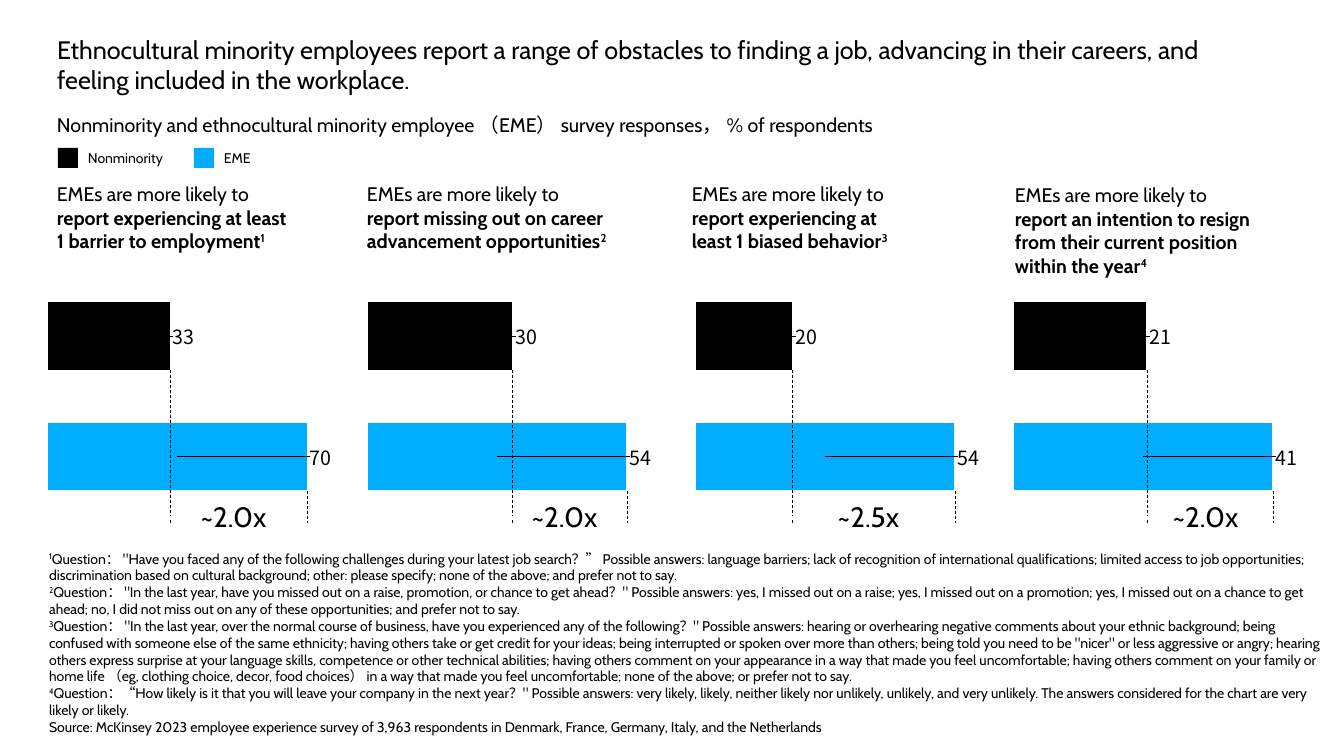
import dataclasses

import lxml.etree
import pptx
import pptx.chart.data
import pptx.dml.color
import pptx.enum.chart
import pptx.enum.dml
import pptx.enum.shapes
import pptx.enum.text
import pptx.oxml
import pptx.oxml.ns
import pptx.util

SLIDE_WIDTH, SLIDE_HEIGHT = 1344, 756
SCALE = 12192000 / SLIDE_WIDTH
CHART_TOP, CHART_WIDTH, CHART_HEIGHT = 242, 299, 309
PLOT_INSET, PLOT_WIDTH = 9, 259
PLOT_LAYOUT = {"layoutTarget": "inner", "xMode": "edge", "yMode": "edge",
               "x": 0.03, "y": 0.109, "w": 0.865, "h": 0.782}
LEADER_LINES = (
    '<c:extLst xmlns:c="http://schemas.openxmlformats.org/drawingml/2006/chart">'
    '<c:ext uri="{CE6537A1-D6FC-4f65-9D91-7224C49458BB}" '
    'xmlns:c15="http://schemas.microsoft.com/office/drawing/2012/chart">'
    '<c15:showLeaderLines val="1"/></c:ext></c:extLst>')


@dataclasses.dataclass(frozen=True)
class Theme:
    black: str = "000000"
    white: str = "FFFFFF"
    minority: str = "00ADFF"
    minority_key: str = "00ACFB"
    face: str = "Cabin"
    digits: str = "Noto Sans CJK SC"
    title: int = 18
    heading: int = 14
    note: int = 10
    ratio: int = 20


THEME = Theme()

TITLE = ("Ethnocultural minority employees report a range of obstacles to finding a job, "
         "advancing in their careers, and feeling included in the workplace.")
SUBTITLE = "Nonminority and ethnocultural minority employee （EME） survey responses， % of respondents"
LEGEND = [("Nonminority", THEME.black, 58, 99), ("EME", THEME.minority_key, 194, 48)]
PANELS = [
    (39, (33, 70), "~2.0x", (47, 177, 282, 82),
     ["report experiencing at least", "1 barrier to employment"]),
    (359, (30, 54), "~2.0x", (357, 177, 293, 82),
     ["report missing out on career", "advancement opportunities"]),
    (687, (20, 54), "~2.5x", (682, 177, 250, 82),
     ["report experiencing at", "least 1 biased behavior"]),
    (1005, (21, 41), "~2.0x", (1005, 178, 290, 105),
     ["report an intention to resign", "from their current position", "within the year"]),
]
QUESTIONS = [
    "Question： \"Have you faced any of the following challenges during your latest job search？” "
    "Possible answers: language barriers; lack of recognition of international qualifications; "
    "limited access to job opportunities; discrimination based on cultural background; "
    "other: please specify; none of the above; and prefer not to say.",
    "Question： \"In the last year, have you missed out on a raise, promotion, or chance to get "
    "ahead？\" Possible answers: yes, I missed out on a raise; yes, I missed out on a promotion; "
    "yes, I missed out on a chance to get ahead; no, I did not miss out on any of these "
    "opportunities; and prefer not to say.",
    "Question： \"In the last year, over the normal course of business, have you experienced any "
    "of the following？\" Possible answers: hearing or overhearing negative comments about your "
    "ethnic background; being confused with someone else of the same ethnicity; having others "
    "take or get credit for your ideas; being interrupted or spoken over more than others; being "
    "told you need to be \"nicer\" or less aggressive or angry; hearing others express surprise at "
    "your language skills, competence or other technical abilities; having others comment on your "
    "appearance in a way that made you feel uncomfortable; having others comment on your family or "
    "home life （eg, clothing choice, decor, food choices） in a way that made you feel "
    "uncomfortable; none of the above; or prefer not to say.",
    "Question：“How likely is it that you will leave your company in the next year？\" Possible "
    "answers: very likely, likely, neither likely nor unlikely, unlikely, and very unlikely. "
    "The answers considered for the chart are very likely or likely.",
]
SOURCE = ("Source: McKinsey 2023 employee experience survey of 3,963 respondents in Denmark, "
          "France, Germany, Italy, and the Netherlands")


def px(length):
    return pptx.util.Emu(round(length * SCALE))


def rgb(colour):
    return pptx.dml.color.RGBColor.from_string(colour)


def set_format(target, values):
    for attribute, value in values.items():
        setattr(target, attribute, value)


def place(part, box):
    set_format(part, dict(zip(("left", "top", "width", "height"), map(px, box))))


def set_font(font, size, face=THEME.face, bold=False):
    set_format(font, {"size": pptx.util.Pt(size), "name": face, "bold": bold})
    font.color.rgb = rgb(THEME.black)


def add_run(paragraph, text, size, face=THEME.face, bold=False, raised=False):
    run = paragraph.add_run()
    run.text = text
    set_font(run.font, size, face, bold)
    if raised:
        run._r.get_or_add_rPr().set("baseline", "30000")


def next_paragraph(frame, index):
    return frame.add_paragraph() if index else frame.paragraphs[0]


def add_label(slide, box, text, size):
    label = slide.shapes.add_textbox(*map(px, box)).text_frame
    set_format(label, {"word_wrap": False,
                       "auto_size": pptx.enum.text.MSO_AUTO_SIZE.SHAPE_TO_FIT_TEXT})
    add_run(label.paragraphs[0], text, size)
    return label


def add_solid(slide, preset, box, colour):
    solid = slide.shapes.add_shape(preset, *map(px, box))
    solid.shadow.inherit = False
    solid.fill.solid()
    solid.fill.fore_color.rgb = rgb(colour)
    solid.line.fill.background()
    return solid


def add_rule(slide, start, end, colour, weight, dash=None, arrow=False):
    rule = slide.shapes.add_connector(pptx.enum.shapes.MSO_CONNECTOR.STRAIGHT,
                                      *map(px, start + end))
    rule.line.color.rgb = rgb(colour)
    set_format(rule.line, {"width": pptx.util.Pt(weight), "dash_style": dash})
    if arrow:
        head = lxml.etree.SubElement(rule.line._get_or_add_ln(), pptx.oxml.ns.qn("a:tailEnd"))
        head.set("type", "triangle")
    lxml.etree.SubElement(rule._element.spPr, pptx.oxml.ns.qn("a:effectLst"))


def manual_layout(values):
    layout = lxml.etree.Element(pptx.oxml.ns.qn("c:layout"))
    manual = lxml.etree.SubElement(layout, pptx.oxml.ns.qn("c:manualLayout"))
    for name, value in values.items():
        lxml.etree.SubElement(manual, pptx.oxml.ns.qn(f"c:{name}")).set("val", str(value))
    return layout


def add_bars(slide, left, values):
    data = pptx.chart.data.CategoryChartData()
    data.categories = ["1", "2"]
    data.add_series("Series 1", values)
    box = (left, CHART_TOP, CHART_WIDTH, CHART_HEIGHT)
    chart = slide.shapes.add_chart(pptx.enum.chart.XL_CHART_TYPE.BAR_STACKED,
                                   *map(px, box), data).chart
    set_format(chart, {"has_legend": False, "has_title": False})
    set_font(chart.font, THEME.note, THEME.digits)
    set_format(chart.value_axis, {"minimum_scale": 0, "maximum_scale": max(values),
                                  "has_major_gridlines": False, "visible": False})
    no_tick = pptx.enum.chart.XL_TICK_MARK.NONE
    set_format(chart.category_axis, {
        "reverse_order": True, "major_tick_mark": no_tick, "minor_tick_mark": no_tick,
        "tick_label_position": pptx.enum.chart.XL_TICK_LABEL_POSITION.NONE})
    axis_line = chart.category_axis.format.line
    axis_line.color.rgb = rgb(THEME.white)
    axis_line.width = pptx.util.Pt(0.75)
    plot = chart.plots[0]
    set_format(plot, {"gap_width": 80, "overlap": 100, "vary_by_categories": False})
    plot_area = chart._chartSpace.chart.plotArea
    for layout in plot_area.findall(pptx.oxml.ns.qn("c:layout")):
        plot_area.remove(layout)
    plot_area.insert(0, manual_layout(PLOT_LAYOUT))
    responses = plot.series[0]
    responses.format.fill.solid()
    responses.format.fill.fore_color.rgb = rgb(THEME.minority)
    responses.data_labels.show_value = True
    responses.data_labels._element.append(pptx.oxml.parse_xml(LEADER_LINES))
    for index, value in enumerate(values):
        value_label = responses.points[index].data_label
        set_font(value_label.font, THEME.heading, THEME.digits)
        value_label.position = pptx.enum.chart.XL_LABEL_POSITION.CENTER
        shift = (PLOT_WIDTH * value / max(values) / 2 + 15) / CHART_WIDTH
        value_label._get_or_add_dLbl().insert(1, manual_layout({"x": round(shift, 2), "y": 0}))
    nonminority = responses.points[0].format.fill
    nonminority.solid()
    nonminority.fore_color.rgb = rgb(THEME.black)


def add_ratio(slide, left, values, ratio):
    far = left + PLOT_INSET + PLOT_WIDTH
    near = left + PLOT_INSET + round(PLOT_WIDTH * values[0] / values[1])
    for x, top in ((near, 370), (far, 491)):
        add_rule(slide, (x, top), (x, 523), THEME.black, 0.5, pptx.enum.dml.MSO_LINE.DASH)
    add_rule(slide, (near, 518), (far, 518), THEME.white, 2.25, arrow=True)
    bubble = add_solid(slide, pptx.enum.shapes.MSO_SHAPE.OVAL,
                       ((near + far) // 2 - 52, 497, 96, 43), THEME.white)
    set_format(bubble.text_frame, {
        "margin_left": 0, "margin_top": 0, "margin_right": 0, "margin_bottom": 0,
        "word_wrap": False, "vertical_anchor": pptx.enum.text.MSO_ANCHOR.MIDDLE})
    paragraph = bubble.text_frame.paragraphs[0]
    set_format(paragraph, {"alignment": pptx.enum.text.PP_ALIGN.CENTER, "line_spacing": 0.9})
    add_run(paragraph, ratio[0], THEME.heading, THEME.digits, bold=True)
    add_run(paragraph, ratio[1:], THEME.ratio)


def add_heading(slide, box, claim, number):
    heading = add_label(slide, box, "EMEs are more likely to", THEME.heading)
    for line in claim:
        paragraph = heading.add_paragraph()
        add_run(paragraph, line, THEME.heading, bold=True)
    add_run(paragraph, str(number), THEME.heading, bold=True, raised=True)


def fill_placeholder(holder, box, paragraphs, size):
    place(holder, box)
    set_format(holder.text_frame, {"word_wrap": True,
                                   "auto_size": pptx.enum.text.MSO_AUTO_SIZE.NONE,
                                   "vertical_anchor": pptx.enum.text.MSO_ANCHOR.TOP})
    for index, (mark, text) in enumerate(paragraphs):
        paragraph = next_paragraph(holder.text_frame, index)
        set_format(paragraph, {"alignment": pptx.enum.text.PP_ALIGN.LEFT,
                               "space_before": pptx.util.Pt(0)})
        properties = paragraph._p.get_or_add_pPr()
        properties.set("marL", "0")
        properties.set("indent", "0")
        lxml.etree.SubElement(properties, pptx.oxml.ns.qn("a:buNone"))
        if mark:
            add_run(paragraph, mark, size, raised=True)
        add_run(paragraph, text, size)


def main():
    deck = pptx.Presentation()
    set_format(deck, {"slide_width": px(SLIDE_WIDTH), "slide_height": px(SLIDE_HEIGHT)})
    slide = deck.slides.add_slide(deck.slide_layouts[1])
    fill_placeholder(slide.shapes.title, (47, 29, 1235, 72), [("", TITLE)], THEME.title)
    footnotes = [(str(number), text) for number, text in enumerate(QUESTIONS, 1)]
    fill_placeholder(slide.placeholders[1], (39, 545, 1291, 197),
                     footnotes + [("", SOURCE)], THEME.note)
    add_label(slide, (47, 108, 900, 34), SUBTITLE, THEME.heading)
    for name, colour, left, width in LEGEND:
        add_solid(slide, pptx.enum.shapes.MSO_SHAPE.RECTANGLE, (left, 148, 20, 20), colour)
        add_label(slide, (left + 20, 145, width, 27), name, THEME.note)
    for number, (left, values, ratio, heading_box, claim) in enumerate(PANELS, 1):
        add_bars(slide, left, values)
        add_ratio(slide, left, values, ratio)
        add_heading(slide, heading_box, claim, number)
    deck.save("out.pptx")


if __name__ == "__main__":
    main()
